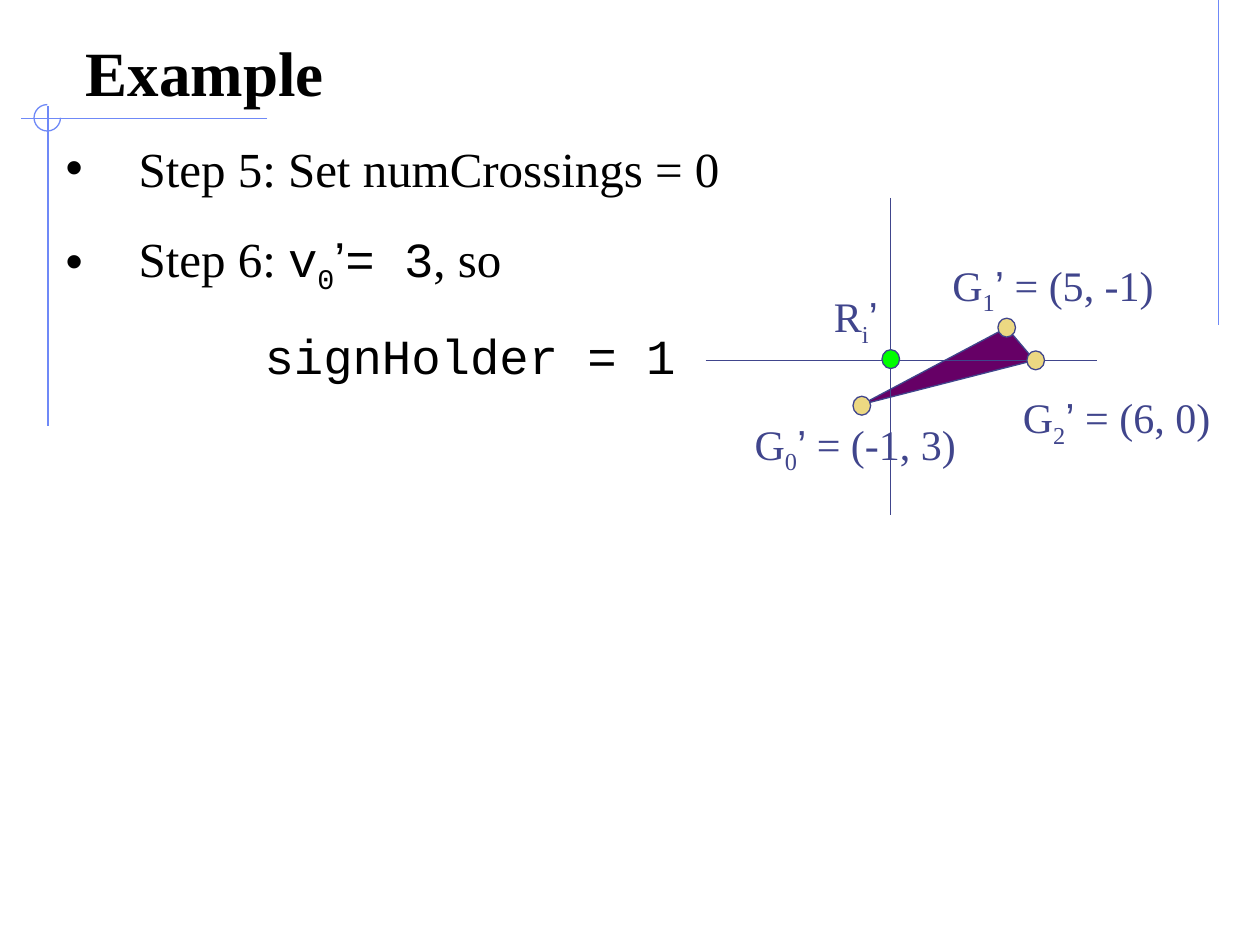
from lxml.etree import SubElement
from pptx import Presentation
from pptx.dml.color import RGBColor
from pptx.enum.shapes import MSO_CONNECTOR, MSO_SHAPE
from pptx.enum.text import MSO_ANCHOR, MSO_AUTO_SIZE, PP_ALIGN
from pptx.oxml.ns import qn
from pptx.util import Inches, Pt

# Content: a run is (text, font, is subscript)
SERIF, MONO, SANS = "Times New Roman", "Courier New", "Arial"
BLACK, INK, RULE = "000000", "40458C", "6F89F7"
SAND, GREEN, PURPLE = "ECD882", "00FF00", "660066"

TITLE = "Example"
STEPS = [  # bullet, left margin, hanging indent, runs
    ("•", 0.58, -0.58, [("Step 5: Set numCrossings = 0", SERIF, False)]),
    ("•", 0.58, -0.58, [("Step 6: ", SERIF, False), ("v", MONO, False),
                        ("0", MONO, True), ("’", SANS, False),
                        ("= 3", MONO, False), (", so", SERIF, False)]),
    (None, 1.58, 0, [("signHolder = 1", MONO, False)]),
]
RULES = [(9.67, 0, 9.67, 2.58), (2.12, 0.94, 0.17, 0.94),
         (0.38, 0.84, 0.38, 3.38)]
AXES = [(7.07, 1.57, 7.07, 4.09), (5.6, 2.86, 8.71, 2.86)]
TRIANGLE = [(6.84, 3.21), (7.99, 2.6), (8.21, 2.86)]
DOTS = [(6.84, 3.22, SAND), (7.99, 2.6, SAND), (8.22, 2.86, SAND),
        (7.07, 2.85, GREEN)]
DOT_W, DOT_H = 0.14, 0.15
LABELS = [  # letter, subscript, value, left, top, width
    ("G", "0", " = (-1, 3)", 5.89, 3.27, 1.8),
    ("G", "1", " = (5, -1)", 7.46, 2.01, 1.8),
    ("G", "2", " = (6, 0)", 8.02, 3.06, 1.69),
    ("R", "i", "", 6.52, 2.26, 0.55),
]

prs = Presentation()
prs.slide_width, prs.slide_height = Inches(10), Inches(7.5)
s = prs.slides.add_slide(prs.slide_layouts[1])


def rgb(value):
    return RGBColor.from_string(value)


def place(sp, *box):
    sp.left, sp.top, sp.width, sp.height = map(Inches, box)


def add_runs(p, runs, size, color, bold=False):
    for text, font, sub in runs:
        r = p.add_run()
        r.text = text
        r.font.name, r.font.size, r.font.bold = font, Pt(size), bold
        r.font.color.rgb = rgb(color)
        if sub:
            r.font._element.set("baseline", "-25000")


def style(sp, color, fill=None):
    sp.shadow.inherit = False
    sp.line.color.rgb, sp.line.width = rgb(color), Pt(0.75)
    if fill:
        sp.fill.solid()
        sp.fill.fore_color.rgb = rgb(fill)
    else:
        sp.fill.background()


def add_line(ends, color):
    c = s.shapes.add_connector(MSO_CONNECTOR.STRAIGHT, *map(Inches, ends))
    c.line.color.rgb, c.line.width = rgb(color), Pt(0.75)
    SubElement(c._element.spPr, qn("a:effectLst"))


def set_bullet(p, char, margin, indent):
    pPr = p._p.get_or_add_pPr()
    pPr.set("marL", str(Inches(margin)))
    pPr.set("indent", str(Inches(indent)))
    if char:
        color = SubElement(pPr, qn("a:buClr"))
        SubElement(color, qn("a:srgbClr")).set("val", BLACK)
        SubElement(pPr, qn("a:buChar")).set("char", char)
    else:
        SubElement(pPr, qn("a:buNone"))


# Corner rules and the three-quarter circle
for ends in RULES:
    add_line(ends, RULE)
arc = s.shapes.add_shape(MSO_SHAPE.ARC, Inches(0.27), Inches(0.83),
                         Inches(0.21), Inches(0.21))
arc.adjustments[0], arc.adjustments[1] = 0, 162  # right, round to top
style(arc, RULE)

# Title
title = s.shapes.title
place(title, 0.58, 0.25, 8.83, 0.67)
tf = title.text_frame
tf.auto_size, tf.vertical_anchor = MSO_AUTO_SIZE.NONE, MSO_ANCHOR.BOTTOM
p = tf.paragraphs[0]
p.alignment = PP_ALIGN.LEFT
add_runs(p, [(TITLE, SERIF, False)], 36, BLACK, bold=True)

# Steps
body = s.placeholders[1]
place(body, 0.42, 1, 9.17, 6.17)
tf = body.text_frame
tf.auto_size, tf.vertical_anchor = MSO_AUTO_SIZE.NONE, MSO_ANCHOR.TOP
tf.margin_top = Inches(0.1)
for i, (char, margin, indent, runs) in enumerate(STEPS):
    p = tf.add_paragraph() if i else tf.paragraphs[0]
    set_bullet(p, char, margin, indent)
    p.space_before = Pt(17.5 if i else 0)
    add_runs(p, runs, 28, BLACK)

# Triangle, axes and points
points = [(Inches(x), Inches(y)) for x, y in TRIANGLE]
fb = s.shapes.build_freeform(*points[0])
fb.add_line_segments(points[1:], close=True)
style(fb.convert_to_shape(), INK, PURPLE)
for ends in AXES:
    add_line(ends, INK)
for x, y, fill in DOTS:
    dot = s.shapes.add_shape(MSO_SHAPE.OVAL, Inches(x - DOT_W / 2),
                             Inches(y - DOT_H / 2), Inches(DOT_W),
                             Inches(DOT_H))
    style(dot, INK, fill)

# Point labels
for letter, sub, value, x, y, w in LABELS:
    box = s.shapes.add_textbox(Inches(x), Inches(y), Inches(w), Inches(0.56))
    box.text_frame.word_wrap = False
    runs = [(letter, SERIF, False), (sub, SERIF, True), ("’", SANS, False)]
    if value:
        runs.append((value, SERIF, False))
    add_runs(box.text_frame.paragraphs[0], runs, 24, INK)

prs.save("out.pptx")
